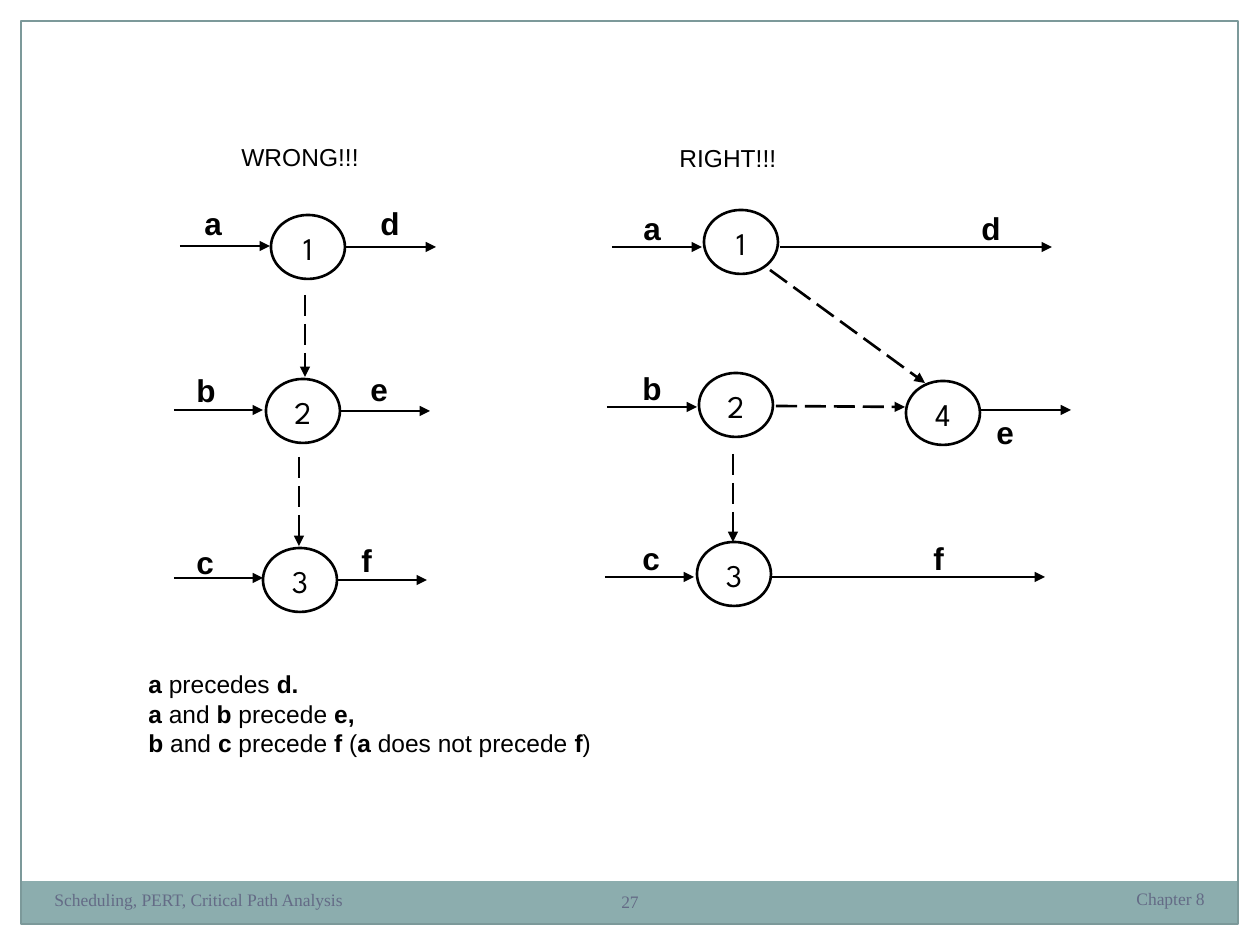
from dataclasses import dataclass

from lxml import etree
from pptx import Presentation
from pptx import util as u
from pptx.dml.color import RGBColor
from pptx.enum import dml, shapes, text
from pptx.oxml.ns import qn

PX_PER_INCH = 126


def px(n):
    return u.Emu(round(n * 914400 / PX_PER_INCH))


@dataclass(frozen=True)
class Theme:
    ink: str = "000000"
    band: str = "8CADAE"
    frame: str = "7C999A"
    footer: str = "646B86"
    body_font: str = "Arial"
    node_font: str = "League Spartan"
    footer_font: str = "Times New Roman"
    label_size: int = 18
    body_size: int = 14
    footer_size: int = 10
    line_width: float = 1.5
    frame_width: float = 0.75


class Diagram:
    NODE_W, NODE_H = 74, 64
    LABEL_W, LABEL_H = 62, 58

    def __init__(self, slide, theme):
        self.slide = slide
        self.theme = theme

    def shape(self, kind, x, y, w, h, fill=None, line=None, width=None):
        sp = self.slide.shapes.add_shape(kind, px(x), px(y), px(w), px(h))
        sp.shadow.inherit = False
        if fill:
            sp.fill.solid()
            sp.fill.fore_color.rgb = RGBColor.from_string(fill)
        else:
            sp.fill.background()
        if line:
            sp.line.color.rgb = RGBColor.from_string(line)
            sp.line.width = u.Pt(width)
        else:
            sp.line.fill.background()

    def text(self, x, y, w, h, words, size, font=None, color=None,
             align=text.PP_ALIGN.LEFT):
        """Add a text box; parts between asterisks are bold."""
        box = self.slide.shapes.add_textbox(px(x), px(y), px(w), px(h))
        tf = box.text_frame
        tf.word_wrap = True
        for i, line in enumerate(words.split("\n")):
            p = tf.paragraphs[0] if i == 0 else tf.add_paragraph()
            p.alignment = align
            for j, part in enumerate(line.split("*")):
                if not part:
                    continue
                r = p.add_run()
                r.text = part
                r.font.bold = j % 2 == 1
                r.font.size = u.Pt(size)
                r.font.name = font or self.theme.body_font
                r.font.color.rgb = RGBColor.from_string(color or self.theme.ink)
        return tf

    def footer(self, x, y, w, h, words, align):
        t = self.theme
        return self.text(x, y, w, h, words, t.footer_size, t.footer_font,
                         t.footer, align)

    def node(self, number, x, y):
        t = self.theme
        self.shape(shapes.MSO_SHAPE.OVAL, x, y, self.NODE_W, self.NODE_H,
                   line=t.ink, width=t.line_width)
        self.text(x - 2, y + 8, self.NODE_W + 4, self.NODE_H, number,
                  t.label_size, t.node_font, align=text.PP_ALIGN.CENTER)

    def arrow(self, x1, y1, x2, y2, dashed=False):
        cxn = self.slide.shapes.add_connector(
            shapes.MSO_CONNECTOR.STRAIGHT, px(x1), px(y1), px(x2), px(y2))
        cxn.line.color.rgb = RGBColor.from_string(self.theme.ink)
        cxn.line.width = u.Pt(self.theme.line_width)
        if dashed:
            cxn.line.dash_style = dml.MSO_LINE.LONG_DASH
        etree.SubElement(cxn.line._get_or_add_ln(), qn("a:tailEnd"),
                         type="triangle")
        etree.SubElement(cxn._element.spPr, qn("a:effectLst"))

    def activity(self, name, label_x, label_y, x1, x2, y):
        """Draw a level arrow with its bold letter."""
        self.arrow(x1, y, x2, y)
        self.text(label_x, label_y, self.LABEL_W, self.LABEL_H, f"*{name}*",
                  self.theme.label_size)


NODES = [
    ("1", 271, 215), ("2", 266, 379), ("3", 263, 548),
    ("1", 704, 210), ("2", 699, 373), ("3", 697, 542), ("4", 906, 381),
]
# name, label x, label y, arrow start x, arrow end x, arrow y
ACTIVITIES = [
    ("a", 192, 198, 180, 270, 246), ("d", 368, 198, 346, 436, 247),
    ("b", 184, 365, 174, 263, 410), ("e", 358, 364, 340, 430, 411),
    ("c", 184, 537, 174, 263, 578), ("f", 349, 535, 338, 427, 580),
    ("a", 631, 203, 612, 702, 247), ("d", 969, 203, 780, 1052, 247),
    ("b", 630, 363, 607, 697, 407), ("e", 984, 407, 981, 1071, 410),
    ("c", 630, 533, 605, 694, 577), ("f", 921, 533, 772, 1045, 577),
]
DUMMIES = [
    (305, 295, 305, 377), (299, 457, 299, 546),
    (776, 406, 905, 407), (733, 454, 733, 542), (770, 270, 925, 383),
]
RULES = ("*a* precedes *d.*\n"
         "*a* and *b* precede *e,*\n"
         "*b* and *c* precede *f* (*a* does not precede *f*)")


def main():
    prs = Presentation()
    prs.slide_width, prs.slide_height = px(1260), px(945)
    t = Theme()
    d = Diagram(prs.slides.add_slide(prs.slide_layouts[6]), t)

    rect = shapes.MSO_SHAPE.RECTANGLE
    d.shape(rect, 21, 881, 1217, 43, fill=t.band)
    d.shape(rect, 21, 21, 1217, 903, line=t.frame, width=t.frame_width)
    d.footer(797, 882, 420, 50, "Chapter 8", text.PP_ALIGN.RIGHT)
    d.footer(42, 883, 494, 50, "Scheduling, PERT, Critical Path Analysis",
             text.PP_ALIGN.LEFT)
    tf = d.footer(588, 872, 84, 60, "27", text.PP_ALIGN.CENTER)
    tf.vertical_anchor = text.MSO_ANCHOR.MIDDLE
    tf.margin_left = tf.margin_right = px(6)

    for node in NODES:
        d.node(*node)
    for activity in ACTIVITIES:
        d.activity(*activity)
    for dummy in DUMMIES:
        d.arrow(*dummy, dashed=True)

    d.text(229, 136, 152, 49, "WRONG!!!", t.body_size)
    d.text(667, 137, 147, 43, "RIGHT!!!", t.body_size)
    d.text(136, 663, 867, 52, RULES, t.body_size)

    prs.save("out.pptx")


if __name__ == "__main__":
    main()
